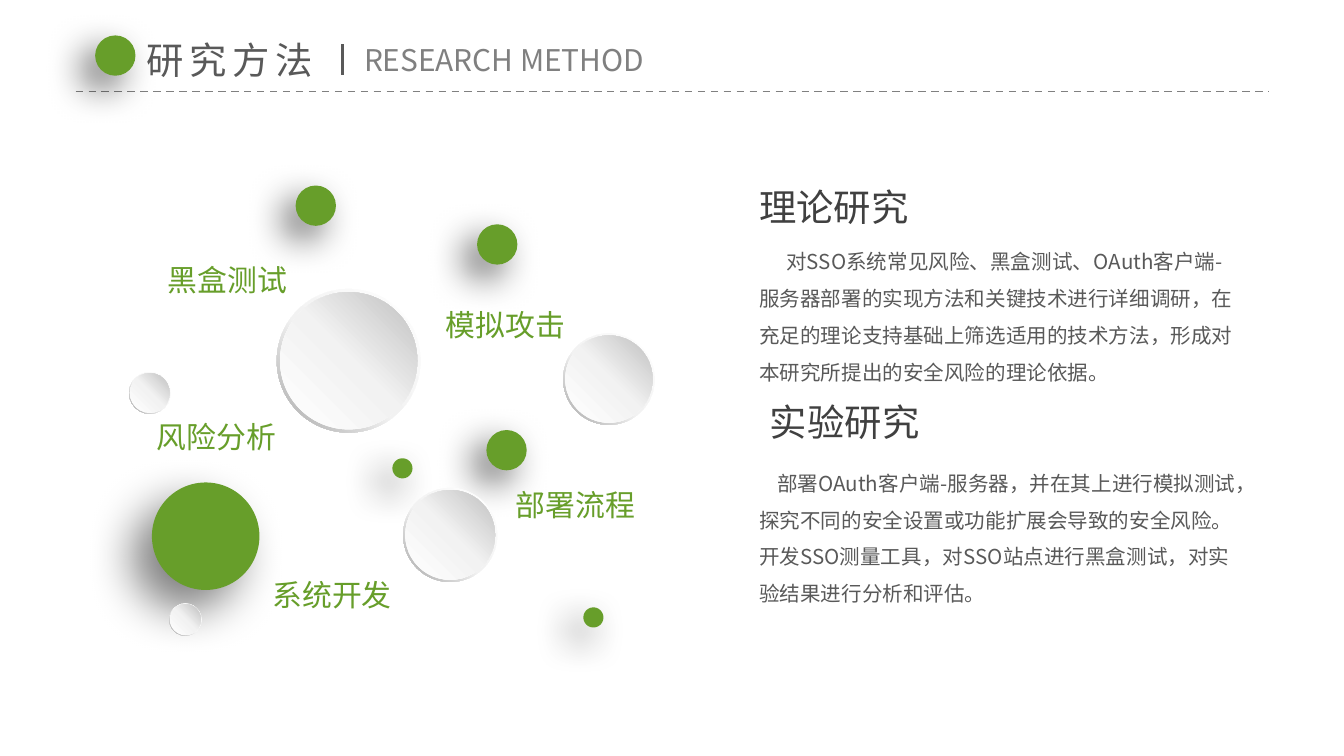
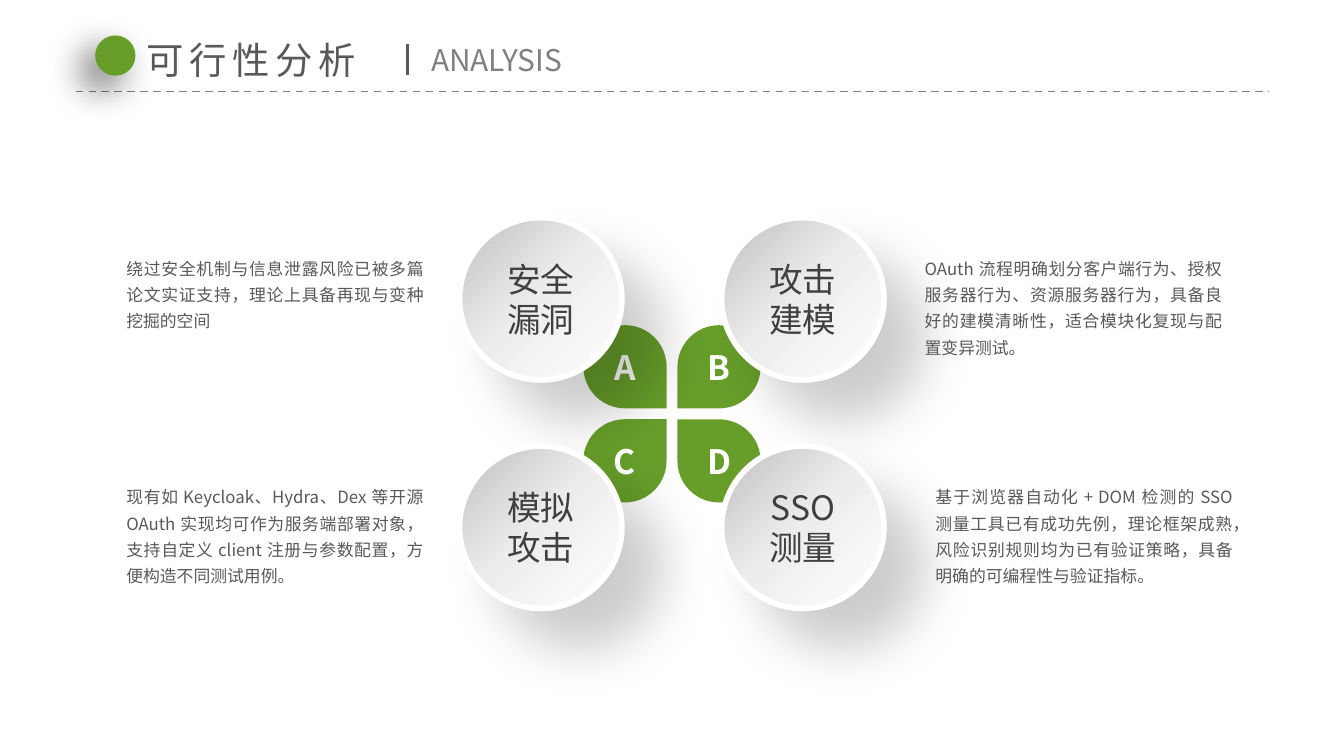
from lxml import etree
from pptx import Presentation
from pptx import util as u
from pptx.dml.color import RGBColor
from pptx.enum import dml, shapes, text
from pptx.oxml.ns import qn

Pt = u.Pt
SHAPE = shapes.MSO_SHAPE
FONT = "Noto Sans CJK SC"
GREEN, WHITE = "679E2A", "FFFFFF"
INK, GREY, MUTED = "404040", "595959", "808080"
CENTER, JUSTIFY = text.PP_ALIGN.CENTER, text.PP_ALIGN.JUSTIFY

# Gradients: stops (position, colour) and clockwise angle
RIM = ([(0, WHITE), (55, "F2F2F2"), (100, "A6A6A6")], 135)
BALL = ([(0, WHITE), (51, "F2F2F2"), (100, "BFBFBF")], 315)
DISC = ([(0, "C0C0C0"), (49, "EDEDED"), (100, WHITE)], 45)

# Shadows: opacity, blur, distance, direction
DOT_SHADOW = (60, 20, 10, 135)
BIG_SHADOW = (50, 25, 15, 135)
DISC_SHADOW = (20, 29, 29, 45)
DOT = 21.6


def color(hex_text):
    return RGBColor.from_string(hex_text)


def sub(parent, tag, **attrs):
    values = {k: str(v) for k, v in attrs.items()}
    return etree.SubElement(parent, qn(tag), values)


def write(sp, content, size=16, fill=GREY, bold=False, align=None, spacing=None,
          tracking=0, indent=0, wrap=False, anchor=text.MSO_ANCHOR.TOP,
          insets=(7.2, 3.6), grow=True):
    """Fill a shape with text, one paragraph for each line."""
    tf = sp.text_frame
    tf.word_wrap = wrap
    tf.auto_size = (text.MSO_AUTO_SIZE.SHAPE_TO_FIT_TEXT if grow
                    else text.MSO_AUTO_SIZE.NONE)
    tf.vertical_anchor = anchor
    tf.margin_left = tf.margin_right = Pt(insets[0])
    tf.margin_top = tf.margin_bottom = Pt(insets[1])
    for i, line in enumerate(content.split("\n")):
        p = tf.add_paragraph() if i else tf.paragraphs[0]
        p.alignment = align or text.PP_ALIGN.LEFT
        if spacing:
            p.line_spacing = spacing
        if indent:
            p._p.get_or_add_pPr().set("indent", str(Pt(indent)))
        r = p.add_run()
        r.text = line
        f = r.font
        f.name, f.size, f.bold = FONT, Pt(size), bold
        f.color.rgb = color(fill)
        rPr = r._r.get_or_add_rPr()
        sub(rPr, "a:ea", typeface=FONT)
        if tracking:
            rPr.set("spc", str(tracking * 100))


def add_text(s, x, y, w, h, content, **fmt):
    write(s.shapes.add_textbox(Pt(x), Pt(y), Pt(w), Pt(h)), content, **fmt)


def add_shape(parent, kind, x, y, w, h, fill=GREEN, shadow=None):
    """Draw a borderless shape; fill is a hex colour or a gradient."""
    sp = parent.shapes.add_shape(kind, Pt(x), Pt(y), Pt(w), Pt(h))
    sp.line.fill.background()
    sp.shadow.inherit = False
    spPr = sp._element.spPr
    if isinstance(fill, str):
        sp.fill.solid()
        sp.fill.fore_color.rgb = color(fill)
    else:
        stops, angle = fill
        sp.fill.background()
        grad = etree.Element(qn("a:gradFill"), rotWithShape="1")
        gs_list = sub(grad, "a:gsLst")
        for pos, shade in stops:
            sub(sub(gs_list, "a:gs", pos=pos * 1000), "a:srgbClr", val=shade)
        sub(grad, "a:lin", ang=angle * 60000, scaled=0)
        spPr.replace(spPr.find(qn("a:noFill")), grad)
    if shadow:
        alpha, blur, dist, angle = shadow
        outer = sub(spPr.find(qn("a:effectLst")), "a:outerShdw", blurRad=Pt(blur),
                    dist=Pt(dist), dir=angle * 60000, algn="ctr", rotWithShape=0)
        sub(sub(outer, "a:srgbClr", val="000000"), "a:alpha", val=alpha * 1000)
    return sp


def add_line(s, x1, y1, x2, y2, stroke, width, dash=None):
    c = s.shapes.add_connector(shapes.MSO_CONNECTOR.STRAIGHT,
                               Pt(x1), Pt(y1), Pt(x2), Pt(y2))
    c.line.color.rgb = color(stroke)
    c.line.width = Pt(width)
    if dash:
        c.line.dash_style = dash
    sub(c._element.spPr, "a:effectLst")


def add_dot(s, x, y, d, shadow=DOT_SHADOW):
    add_shape(s, SHAPE.OVAL, x, y, d, d, shadow=shadow)


def add_ball(s, x, y, d):
    """Grey ball with a bevelled rim."""
    g = s.shapes.add_group_shape()
    rim = add_shape(g, SHAPE.DONUT, x, y, d, d, RIM)
    rim.adjustments[0] = 0.049
    inner = d * 0.955
    gap = (d - inner) / 2
    add_shape(g, SHAPE.OVAL, x + gap, y + gap, inner, inner, BALL)


def add_petal(s, x, y, letter, rotation):
    d, w, h = 44.6, 28, 28.8
    g = s.shapes.add_group_shape()
    add_shape(g, SHAPE.TEAR, x, y, d, d).rotation = rotation
    box = add_shape(g, SHAPE.RECTANGLE, x + (d - w) / 2, y + (d - h) / 2, w, h)
    write(box, letter, size=18, fill=WHITE, bold=True, align=CENTER,
          anchor=text.MSO_ANCHOR.MIDDLE)


def add_disc(s, x, y, label):
    sp = add_shape(s, SHAPE.OVAL, x, y, 87, 87, DISC, DISC_SHADOW)
    sp.line.color.rgb = color(WHITE)
    sp.line.width = Pt(3)
    write(sp, label, size=18, fill=INK, align=CENTER, wrap=True, grow=False,
          anchor=text.MSO_ANCHOR.MIDDLE, insets=(0, 2.9))


def add_slide(prs, title, title_w, subtitle, subtitle_w, bar_x, subtitle_x):
    """Slide with the shared header."""
    s = prs.slides.add_slide(prs.slide_layouts[5])
    add_line(s, 40.5, 49, 679.5, 49, MUTED, 1, dml.MSO_LINE.DASH)
    add_dot(s, 51, 19, DOT)
    sp = s.shapes.title
    sp.left, sp.top, sp.width, sp.height = Pt(71.5), Pt(16.5), Pt(title_w), Pt(31.5)
    write(sp, title, size=20, tracking=3)
    add_text(s, subtitle_x, 19, subtitle_w, 26.6, subtitle, fill=MUTED)
    add_line(s, bar_x, 23.8, bar_x, 40.3, GREY, 1.5)
    return s


def method_slide(prs):
    s = add_slide(prs, "研究方法", 106.6, "RESEARCH METHOD", 172, 183.6, 188)

    # Bubbles
    add_dot(s, 81.4, 258.5, 57.6, BIG_SHADOW)
    for x, y, d in [(260.6, 230.4, DOT), (255.6, 120.2, DOT), (158.4, 99.4, DOT),
                    (312.5, 325.4, DOT / 2), (210.2, 245.5, DOT / 2)]:
        add_dot(s, x, y, d)
    for x, y, d in [(148.3, 154.8, 77), (301.7, 178.6, 49), (90.7, 323.3, 17.3),
                    (69.1, 199.4, 22.3), (216, 261.4, 50.4)]:
        add_ball(s, x, y, d)

    # Bubble labels
    for x, y, label in [(82.8, 136.8, "黑盒测试"), (139, 305.3, "系统开发"),
                        (269.3, 257, "部署流程"), (231.8, 160.6, "模拟攻击"),
                        (77, 221, "风险分析")]:
        add_text(s, x, y, 78.5, 26.6, label, fill=GREEN)

    # Two approaches
    for x, y, heading, body_y, indent, body in [
        (399.6, 95, "理论研究", 123.1, 14.5,
         "对SSO系统常见风险、黑盒测试、OAuth客户端-服务器部署的实现方法和关键技术"
         "进行详细调研，在充足的理论支持基础上筛选适用的技术方法，形成对本研究所提出的"
         "安全风险的理论依据。"),
        (405.4, 210.2, "实验研究", 241.9, 9.6,
         "部署OAuth客户端-服务器，并在其上进行模拟测试，探究不同的安全设置或功能扩展会"
         "导致的安全风险。开发SSO测量工具，对SSO站点进行黑盒测试，对实验结果进行分析和"
         "评估。"),
    ]:
        add_text(s, x, y, 94.3, 31.5, heading, size=20, fill=INK)
        add_text(s, 399.6, body_y, 272.2, 87, body, size=11, spacing=1.5,
                 indent=indent, wrap=True)


def analysis_slide(prs):
    s = add_slide(prs, "可行性分析", 129.6, "ANALYSIS", 89.3, 218.2, 224)
    topics = [
        ("A", 90, "安全\n漏洞", 62.6, 47.5,
         "绕过安全机制与信息泄露风险已被多篇论文实证支持，理论上具备再现与变种挖掘的空间"),
        ("B", 180, "攻击\n建模", 490.3, 61.9,
         "OAuth 流程明确划分客户端行为、授权服务器行为、资源服务器行为，具备良好的建模"
         "清晰性，适合模块化复现与配置变异测试。"),
        ("C", 0, "模拟\n攻击", 62.6, 61.9,
         "现有如 Keycloak、Hydra、Dex 等开源 OAuth 实现均可作为服务端部署对象，支持"
         "自定义 client 注册与参数配置，方便构造不同测试用例。"),
        ("D", 270, "SSO\n测量", 496.1, 61.9,
         "基于浏览器自动化 + DOM 检测的 SSO 测量工具已有成功先例，理论框架成熟，风险"
         "识别规则均为已有验证策略，具备明确的可编程性与验证指标。"),
    ]
    # Petals lie under all the discs
    for i, (letter, rotation, *_) in enumerate(topics):
        row, col = divmod(i, 2)
        add_petal(s, 312.5 + 50.4 * col, 174.2 + 50.4 * row, letter, rotation)
    # Discs and descriptions
    for i, (_, _, label, x, h, body) in enumerate(topics):
        row, col = divmod(i, 2)
        add_disc(s, 246.2 + 140.4 * col, 116.6 + 122.4 * row, label)
        add_text(s, x, 132.5 + 122.4 * row, 169.2, h, body, size=9, spacing=1.3,
                 align=JUSTIFY, wrap=True, insets=(5.04, 2.9))


def main():
    prs = Presentation()
    prs.slide_width, prs.slide_height = Pt(720), Pt(405)
    method_slide(prs)
    analysis_slide(prs)
    prs.save("out.pptx")


if __name__ == "__main__":
    main()
